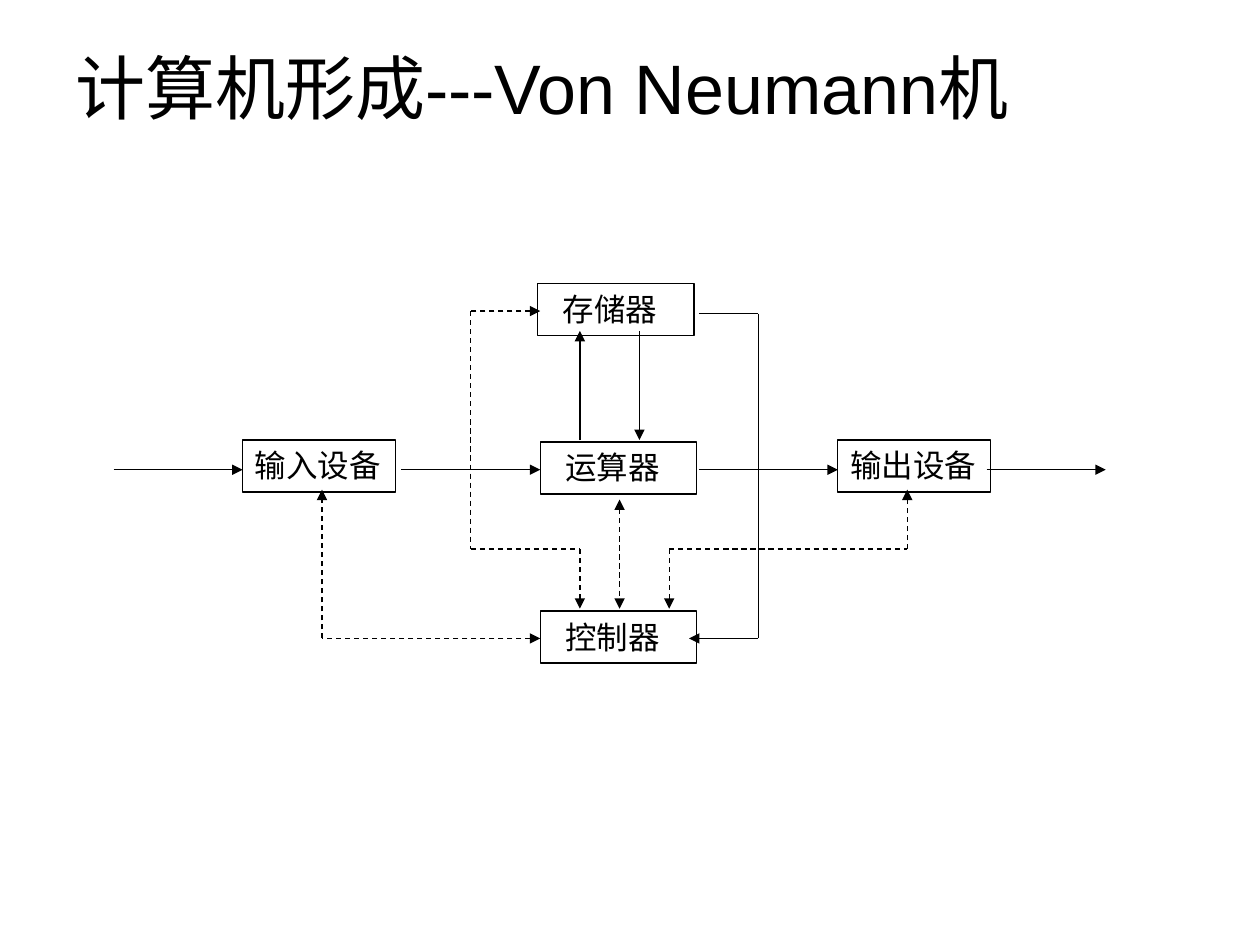
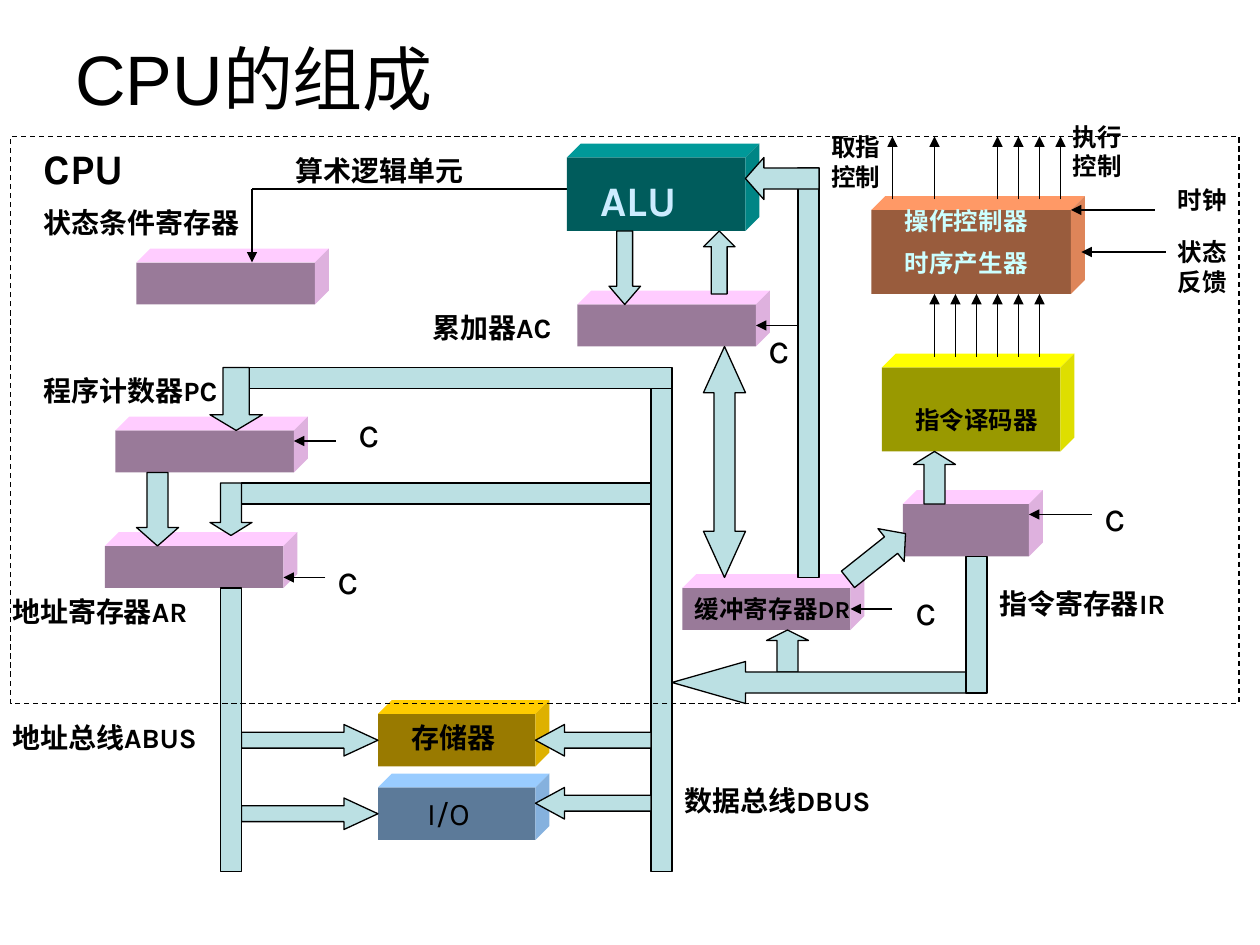
"""Build two slides on the Von Neumann machine and the parts of a CPU."""
import dataclasses
import itertools

import lxml.etree
import pptx
import pptx.dml.color
import pptx.enum.dml
import pptx.enum.shapes
import pptx.enum.text
import pptx.oxml.ns
import pptx.util

Cm = pptx.util.Cm
Kind = pptx.enum.shapes.MSO_SHAPE


@dataclasses.dataclass(frozen=True)
class Theme:
    """Hold the colours, fonts and sizes of the deck."""
    ink: str = "000000"
    bus: str = "BBE0E3"
    register: str = "FFCCFF"
    alu: str = "009999"
    alu_text: str = "CCECFF"
    control: str = "FF9966"
    control_text: str = "CCFFFF"
    decoder: str = "FFFF00"
    memory: str = "FFCC00"
    io_port: str = "99CCFF"
    heading_font: str = "Arial"
    label_font: str = "Karla"
    title_size: int = 40
    big: int = 24
    medium: int = 18
    normal: int = 16
    small: int = 14
    line_width: float = 0.75
    depth: float = 0.28
    front_shade: float = 0.6
    side_shade: float = 0.87


THEME = Theme()


@dataclasses.dataclass(frozen=True)
class Region:
    """Place shapes on a grid, in steps of unit cm from a corner."""
    slide: object
    left: float
    top: float
    unit: float

    def shifted(self, x, y):
        """Return a region whose corner lies at grid point x, y."""
        return Region(self.slide, self.left + x * self.unit, self.top + y * self.unit, self.unit)

    def point(self, x, y):
        """Return slide coordinates of a grid point."""
        return Cm(self.left + x * self.unit), Cm(self.top + y * self.unit)

    def box(self, x, y, width, height):
        """Return slide coordinates and size of a grid box."""
        return *self.point(x, y), Cm(width * self.unit), Cm(height * self.unit)


def rgb(colour):
    """Turn a hex colour into an RGB value."""
    return pptx.dml.color.RGBColor.from_string(colour)


def shade(colour, factor):
    """Darken a hex colour by a factor."""
    return "".join(f"{round(int(colour[i:i + 2], 16) * factor):02X}" for i in (0, 2, 4))


def write(frame, text, *, size, font=THEME.label_font, colour=THEME.ink, bold=False,
          inset=0.25, anchor=pptx.enum.text.MSO_ANCHOR.TOP):
    """Fill a text frame with left-aligned lines in one format."""
    frame.word_wrap = True
    frame.vertical_anchor = anchor
    frame.margin_left, frame.margin_right = Cm(inset), Cm(0.25)
    frame.margin_top = frame.margin_bottom = Cm(0.13)
    for number, line in enumerate(text.split("\n")):
        paragraph = frame.add_paragraph() if number else frame.paragraphs[0]
        paragraph.alignment = pptx.enum.text.PP_ALIGN.LEFT
        paragraph.space_before = pptx.util.Pt(size / 2 if number else 0)
        run = paragraph.add_run()
        run.text = line
        run.font.name, run.font.size, run.font.bold = font, pptx.util.Pt(size), bold
        run.font.color.rgb = rgb(colour)


def label(region, text, x, y, width, height=4.4, *, size=THEME.normal, bold=True, **style):
    """Add a text box."""
    box = region.slide.shapes.add_textbox(*region.box(x, y, width, height))
    write(box.text_frame, text, size=size, bold=bold, **style)


def paint(shape, fill, line, dashed=False):
    """Set the fill and outline of a shape, or clear them."""
    shape.shadow.inherit = False
    if fill:
        shape.fill.solid()
        shape.fill.fore_color.rgb = rgb(fill)
    else:
        shape.fill.background()
    if line:
        shape.line.color.rgb = rgb(line)
        shape.line.width = pptx.util.Pt(THEME.line_width)
    else:
        shape.line.fill.background()
    if dashed:
        shape.line.dash_style = pptx.enum.dml.MSO_LINE.DASH


def solid(region, kind, x, y, width, height, *, fill=THEME.bus, line=THEME.ink,
          head=None, turn=0, dashed=False):
    """Add a preset shape, such as a bus or a block arrow."""
    shape = region.slide.shapes.add_shape(kind, *region.box(x, y, width, height))
    if head is not None:
        shape.adjustments[0], shape.adjustments[1] = 0.5, head
    shape.rotation = turn
    paint(shape, fill, line, dashed)
    return shape


def block(region, colour, x, y, width, height):
    """Add a box with a dark front, a bright top and a side face."""
    solid(region, Kind.RECTANGLE, x, y, width, height,
          fill=shade(colour, THEME.front_shade), line=None)
    deep = THEME.depth / region.unit
    right, bottom = x + width, y + height
    top = [(x, y), (x + deep, y - deep), (right + deep, y - deep), (right, y)]
    side = [(right, y), (right + deep, y - deep), (right + deep, bottom - deep), (right, bottom)]
    for corners, face in ((top, colour), (side, shade(colour, THEME.side_shade))):
        start, *rest = (region.point(*corner) for corner in corners)
        outline = region.slide.shapes.build_freeform(*start)
        outline.add_line_segments(rest, close=True)
        paint(outline.convert_to_shape(), face, None)


def wire(region, *points, start=False, end=True, dashed=False):
    """Join grid points with lines, with arrowheads at the chosen ends."""
    legs = list(itertools.pairwise(points))
    for number, (begin, finish) in enumerate(legs):
        leg = region.slide.shapes.add_connector(
            pptx.enum.shapes.MSO_CONNECTOR.STRAIGHT,
            *region.point(*begin), *region.point(*finish))
        leg.line.color.rgb = rgb(THEME.ink)
        leg.line.width = pptx.util.Pt(THEME.line_width)
        if dashed:
            leg.line.dash_style = pptx.enum.dml.MSO_LINE.DASH
        properties = leg.element.spPr
        ends = (("headEnd", start and number == 0),
                ("tailEnd", end and number == len(legs) - 1))
        for tag, wanted in ends:
            if wanted:
                lxml.etree.SubElement(properties.get_or_add_ln(),
                                      pptx.oxml.ns.qn(f"a:{tag}"), type="triangle")
        lxml.etree.SubElement(properties, pptx.oxml.ns.qn("a:effectLst"))


def titled_slide(deck, text, top, height):
    """Add a title-only slide and set its title."""
    slide = deck.slides.add_slide(deck.slide_layouts[5])
    title = slide.shapes.title
    title.left, title.top, title.width, title.height = Cm(1.27), Cm(top), Cm(22.86), Cm(height)
    write(title.text_frame, text, size=THEME.title_size, font=THEME.heading_font,
          anchor=pptx.enum.text.MSO_ANCHOR.MIDDLE)
    return slide


def von_neumann(region):
    """Draw the five units with their data and control lines."""
    units = (("存储器", 42.75, 1.2, 15.75, 0.51), ("运算器", 43, 17.2, 15.75, 0.51),
             ("控制器", 43, 34.25, 15.75, 0.51),
             ("输入设备", 13, 17, 15.4, 0.25), ("输出设备", 73, 17, 15.4, 0.25))
    for name, x, y, width, inset in units:
        unit = solid(region, Kind.RECTANGLE, x, y, width, 5.25, fill=None)
        write(unit.text_frame, name, size=THEME.medium, font=THEME.heading_font, inset=inset)
    for begin, finish in ((0, 13), (29, 43), (59, 73), (88, 100)):
        wire(region, (begin, 20), (finish, 20))
    wire(region, (47, 17), (47, 6))
    wire(region, (53, 6), (53, 17))
    wire(region, (59, 4.25), (65, 4.25), (65, 37), (58, 37))
    for route in (((43, 4), (36, 4), (36, 28), (47, 28), (47, 34)),
                  ((51, 23), (51, 34)),
                  ((43, 37), (21, 37), (21, 22)),
                  ((56, 34), (56, 28), (80, 28), (80, 22))):
        wire(region, *route, start=True, dashed=True)


def registers(region):
    """Draw the status, counter and address registers."""
    for x, y in ((13, 14), (11, 30), (10, 41)):
        block(region, THEME.register, x, y, 17, 4)
    wire(region, (54, 7), (24, 7), (24, 14))
    solid(region, Kind.DOWN_ARROW, 13, 34, 4, 7, head=0.44)
    for text, x, y in (("算术逻辑单元", 27, 3), ("状态条件寄存器", 3, 8),
                       ("程序计数器PC", 3, 24), ("地址寄存器AR", 0, 45)):
        label(region, text, x, y, 25)
    for x, y in ((28, 31), (27, 44)):
        wire(region, (x + 4, y), (x, y))
    for x, y in ((33, 27), (31, 41)):
        clock_mark(region, x, y)


def clock_mark(region, x, y):
    """Mark a register's control input."""
    label(region, "c", x, y, 4, 6, size=THEME.big, bold=False)


def buses(region):
    """Draw the address and data buses, the memory and the ports."""
    block(region, THEME.memory, 36, 33, 15, 5)
    block(region, THEME.io_port, 36, 40, 15, 5)
    for y in (34, 41):
        solid(region, Kind.RIGHT_ARROW, 23, y, 13, 3, head=1.08)
    for x, y, width, height in ((21, 21, 2, 27), (62, 2, 2, 46)):
        solid(region, Kind.RECTANGLE, x, y, width, height)
    for y in (34, 40):
        solid(region, Kind.LEFT_ARROW, 51, y, 11, 3, head=0.92)
    for y, length, width, height, head in ((0, 41, 5, 6, 0.3), (11, 39, 4, 5, 0.31)):
        solid(region, Kind.RECTANGLE, 23, y, length, 2)
        solid(region, Kind.DOWN_ARROW, 20, y, width, height, head=head)
    label(region, "地址总线ABUS", 0, 33, 25)
    label(region, "数据总线DBUS", 64, 39, 25)
    label(region, "存储器", 38, 33, 14)
    label(region, "I/O", 35, 40, 22, size=THEME.medium, bold=False, inset=1.2)


def control_unit(region):
    """Draw the controller, the decoder and the instruction register."""
    block(region, THEME.control, 5, 9, 19, 8)
    block(region, THEME.decoder, 6, 24, 17, 8)
    block(region, THEME.register, 8, 37, 12, 5)
    solid(region, Kind.UP_ARROW, 9, 32, 4, 5, head=0.31)
    for x in range(11, 22, 2):
        wire(region, (x, 23), (x, 17))
    for x in (7, 11, 17, 19, 21, 23):
        wire(region, (x, 8), (x, 2))
    for begin, finish, y in ((32, 24, 9), (33, 25, 13), (26, 20, 38)):
        wire(region, (begin, y), (finish, y))
    label(region, "指令寄存器IR", 16, 44.2, 25)
    label(region, "指令译码器", 8, 27, 15, size=THEME.small)
    label(region, "操作控制器\n时序产生器", 7, 8, 18, 8,
          size=THEME.small, colour=THEME.control_text)
    for text, x, y in (("时钟", 33, 6), ("状态反馈", 33, 11),
                       ("取指控制", 0, 1), ("执行控制", 23, 0)):
        label(region, text, x, y, 9, size=THEME.small)
    clock_mark(region, 26, 35)


def arithmetic_unit(region):
    """Draw the ALU, the accumulator and the data register."""
    block(region, THEME.alu, 14, 3, 17, 7)
    block(region, THEME.register, 15, 17, 17, 4)
    block(region, THEME.register, 25, 44, 16, 4)
    solid(region, Kind.UP_ARROW, 27, 10, 3, 6, head=0.5)
    solid(region, Kind.DOWN_ARROW, 18, 10, 3, 7, head=0.58)
    solid(region, Kind.LEFT_RIGHT_ARROW, 18, 30, 22, 4, head=1.1, turn=90)
    solid(region, Kind.RECTANGLE, 36, 4, 2, 39)
    solid(region, Kind.LEFT_ARROW, 31, 3, 7, 4, head=0.44)
    solid(region, Kind.UP_ARROW, 41.5, 37.5, 4, 7, head=0.44, turn=51.5)
    solid(region, Kind.UP_ARROW, 33, 48, 4, 4, head=0.25)
    solid(region, Kind.LEFT_ARROW, 24, 51, 28, 4, head=1.75)
    solid(region, Kind.RECTANGLE, 52, 41, 2, 13)
    for x, y in ((41, 46), (32, 19)):
        wire(region, (x + 4, y), (x, y))
    label(region, "ALU", 16, 4, 12, 6, size=THEME.big, colour=THEME.alu_text)
    label(region, "累加器AC", 0, 17, 25)
    label(region, "缓冲寄存器DR", 25, 44, 19, size=THEME.small)
    for x, y in ((46, 43), (32, 18)):
        clock_mark(region, x, y)


def cpu(region):
    """Draw the CPU frame and the regions in and around it."""
    registers(region.shifted(0, 11))
    buses(region.shifted(0, 35))
    solid(region, Kind.RECTANGLE, 1, 13, 117, 54, fill=None, dashed=True)
    label(region, "CPU", 3, 13, 20, 6, size=THEME.big)
    control_unit(region.shifted(78, 11))
    arithmetic_unit(region.shifted(40, 12))


def main():
    """Build and save the deck."""
    deck = pptx.Presentation()
    deck.slide_width, deck.slide_height = Cm(25.4), Cm(19.05)
    machine = titled_slide(deck, "计算机形成---Von Neumann机", 0.76, 1.96)
    von_neumann(Region(machine, 2.29, 5.47, 0.2))
    processor = titled_slide(deck, "CPU的组成", -0.03, 3.18)
    cpu(Region(processor, 0, 0, 2.54 / 12))
    deck.save("out.pptx")


if __name__ == "__main__":
    main()
